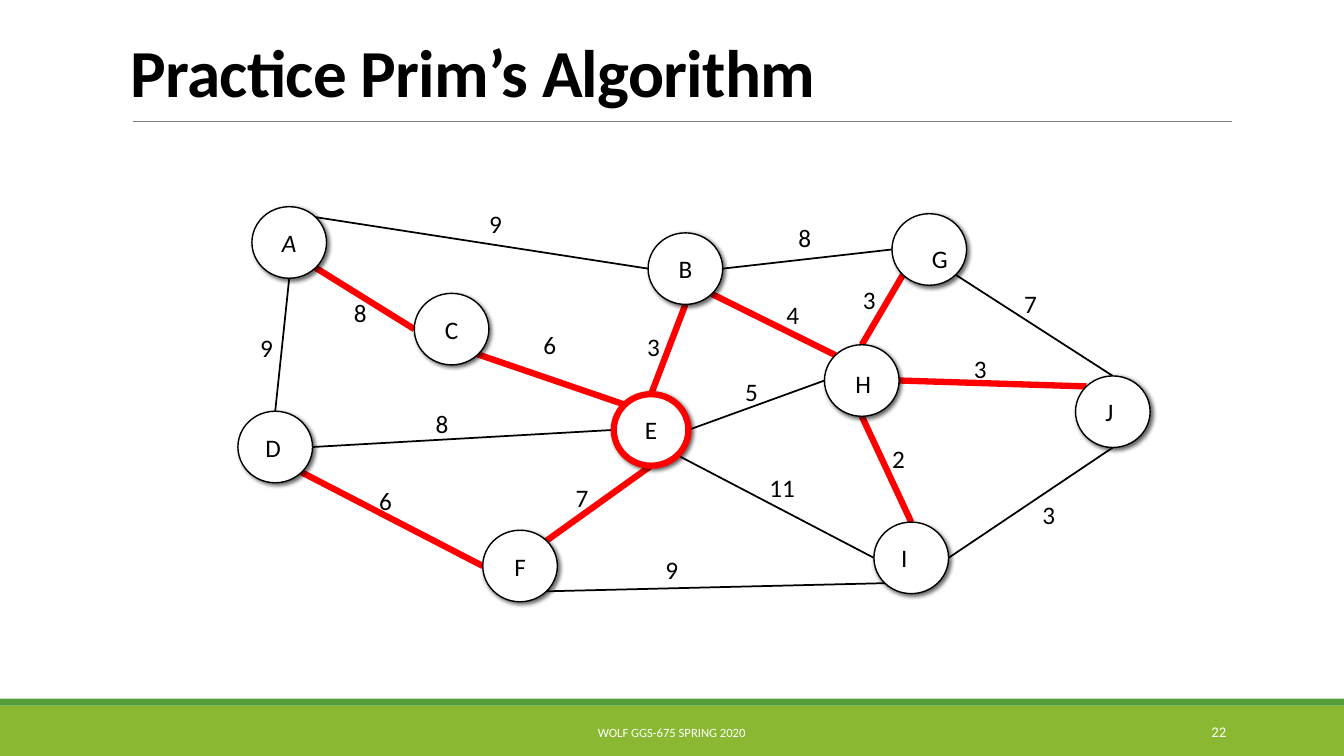
"""Build a slide showing a weighted graph and its minimum spanning tree."""
import math

import pptx
import pptx.dml.color
import pptx.enum.shapes
import pptx.enum.text
import pptx.oxml
import pptx.oxml.ns
import pptx.util

Pt = pptx.util.Pt
MSO_SHAPE = pptx.enum.shapes.MSO_SHAPE
ALIGN = pptx.enum.text.PP_ALIGN
ANCHOR = pptx.enum.text.MSO_ANCHOR

COLORS = {"black": "000000", "white": "FFFFFF", "red": "FF0000",
          "gray": "808080", "lime": "8AB833", "green": "549E39"}
NODE_W, NODE_H = 53.28, 51.12
LABEL_W, LABEL_H = 44, 29
DIAGONAL = math.sqrt(0.5)
SITES = {"t": (0, -1), "b": (0, 1), "l": (-1, 0), "r": (1, 0),
         "tl": (-DIAGONAL, -DIAGONAL), "tr": (DIAGONAL, -DIAGONAL),
         "bl": (-DIAGONAL, DIAGONAL), "br": (DIAGONAL, DIAGONAL)}

NODES = {"A": (206.6, 173.2), "B": (489.6, 191.9), "C": (322.6, 235.1),
         "D": (196.6, 319.3), "E": (465.1, 307.1), "F": (371.5, 404.3),
         "G": (663.8, 178.2), "H": (615.6, 271.8), "I": (650.9, 398.5),
         "J": (794.9, 294.1)}
LETTER_SHIFTS = {"D": (-1.5, 0), "G": (7.5, 6.5), "H": (1, 2),
                 "I": (-5, 0), "J": (-2.5, 0)}

EDGES = [
    ("A", "b", "D", "t", "9", (190.4, 248.4), False),
    ("A", "tr", "B", "l", "9", (353.9, 159.8), False),
    ("A", "br", "C", "l", "8", (257.4, 223.2), True),
    ("C", "br", "E", "tl", "6", (392.8, 246.2), True),
    ("B", "b", "E", "t", "3", (466.9, 247.7), True),
    ("D", "r", "E", "l", "8", (315.7, 302.4), False),
    ("D", "br", "F", "l", "6", (275.4, 357.1), True),
    ("B", "br", "H", "tl", "4", (566.3, 224.6), True),
    ("E", "b", "F", "tr", "7", (415.8, 355), True),
    ("E", "r", "H", "l", "5", (536.8, 279.4), False),
    ("I", "t", "H", "b", "2", (641.9, 327.6), True),
    ("H", "r", "J", "tl", "3", (700.2, 262.8), True),
    ("H", "t", "G", "bl", "3", (621, 213.8), True),
    ("G", "br", "J", "t", "7", (736.2, 216.7), False),
    ("J", "b", "I", "r", "3", (749.2, 367.2), False),
    ("F", "br", "I", "bl", "9", (479.9, 406.8), False),
    ("B", "r", "G", "l", "8", (574.9, 169.9), False),
    ("E", "br", "I", "l", "11", (558.7, 347.8), False),
]


def rgb(name):
    return pptx.dml.color.RGBColor.from_string(COLORS[name])


def write(tf, text, size=18, color="black", bold=False, italic=False,
          align=ALIGN.CENTER, anchor=ANCHOR.MIDDLE, wrap=True,
          line_spacing=None, spacing=None):
    tf.word_wrap = wrap
    tf.vertical_anchor = anchor
    p = tf.paragraphs[0]
    p.alignment = align
    if line_spacing:
        p.line_spacing = line_spacing
    r = p.add_run()
    r.text = text
    r.font.name = "Calibri"
    r.font.size = Pt(size)
    r.font.bold = bold
    r.font.italic = italic
    r.font.color.rgb = rgb(color)
    if spacing:
        r._r.get_or_add_rPr().set("spc", str(round(spacing * 100)))


class GraphSlide:
    def __init__(self, slide):
        self.s = slide

    def text(self, x, y, w, h, text, **style):
        sp = self.s.shapes.add_textbox(Pt(x), Pt(y), Pt(w), Pt(h))
        write(sp.text_frame, text, **style)

    def shape(self, kind, x, y, w, h, fill):
        sp = self.s.shapes.add_shape(kind, Pt(x), Pt(y), Pt(w), Pt(h))
        sp.shadow.inherit = False
        sp.fill.solid()
        sp.fill.fore_color.rgb = rgb(fill)
        sp.line.fill.background()
        return sp

    def line(self, start, end, color="black", width=1.25):
        cxn = self.s.shapes.add_connector(
            pptx.enum.shapes.MSO_CONNECTOR.STRAIGHT,
            *(Pt(v) for v in (*start, *end)))
        cxn.line.color.rgb = rgb(color)
        cxn.line.width = Pt(width)
        cxn._element.spPr.append(pptx.oxml.parse_xml(
            f"<a:effectLst {pptx.oxml.ns.nsdecls('a')}/>"))

    def node(self, name, color="black", width=1):
        x, y = NODES[name]
        sp = self.shape(MSO_SHAPE.OVAL, x - NODE_W / 2, y - NODE_H / 2,
                        NODE_W, NODE_H, "white")
        sp.line.color.rgb = rgb(color)
        sp.line.width = Pt(width)
        effects = sp._element.spPr.find(pptx.oxml.ns.qn("a:effectLst"))
        effects.append(pptx.oxml.parse_xml(
            f"<a:outerShdw {pptx.oxml.ns.nsdecls('a')} blurRad='{Pt(3)}' "
            f"dist='{Pt(2)}' dir='2700000' algn='tl' rotWithShape='0'>"
            f"<a:srgbClr val='{COLORS['black']}'><a:alpha val='60000'/>"
            "</a:srgbClr></a:outerShdw>"))
        tf = sp.text_frame
        dx, dy = LETTER_SHIFTS.get(name, (0, 0))
        tf.margin_left, tf.margin_right = Pt(max(0, 2 * dx)), Pt(max(0, -2 * dx))
        tf.margin_top, tf.margin_bottom = Pt(max(0, 2 * dy)), Pt(max(0, -2 * dy))
        write(tf, name, italic=name == "A", wrap=False)

    def edge(self, first, first_site, second, second_site, in_tree):
        ends = [(NODES[n][0] + SITES[site][0] * NODE_W / 2,
                 NODES[n][1] + SITES[site][1] * NODE_H / 2)
                for n, site in ((first, first_site), (second, second_site))]
        if in_tree:
            self.line(*ends, color="red", width=4.5)
        else:
            self.line(*ends)

    def weight(self, text, center):
        x, y = center
        self.text(x - LABEL_W / 2, y - LABEL_H / 2, LABEL_W, LABEL_H, text)


def main():
    prs = pptx.Presentation()
    prs.slide_width, prs.slide_height = Pt(960), Pt(540)
    s = GraphSlide(prs.slides.add_slide(prs.slide_layouts[6]))

    s.shape(MSO_SHAPE.RECTANGLE, 0, 504, 960, 36, "lime")
    s.shape(MSO_SHAPE.RECTANGLE, 0, 499, 960, 5, "green")
    s.line((95, 87), (880, 87), color="gray", width=0.5)
    s.text(86.4, 24.5, 792, 58.3, "Practice Prim’s Algorithm", size=48,
           bold=True, align=ALIGN.LEFT, anchor=ANCHOR.BOTTOM,
           line_spacing=0.85, spacing=-0.5)

    for *ends, _, _, in_tree in EDGES:
        s.edge(*ends, in_tree)
    for name in NODES:
        if name == "E":
            s.node(name, color="red", width=4.5)
        else:
            s.node(name)
    for *_, weight, center, _ in EDGES:
        s.weight(weight, center)

    s.text(290, 508.5, 379.5, 28.8, "WOLF GGS-675 SPRING 2020", size=9,
           color="white")
    s.text(780, 508.5, 103, 28.8, "22", size=10.5, color="white",
           align=ALIGN.RIGHT)
    prs.save("out.pptx")


if __name__ == "__main__":
    main()
